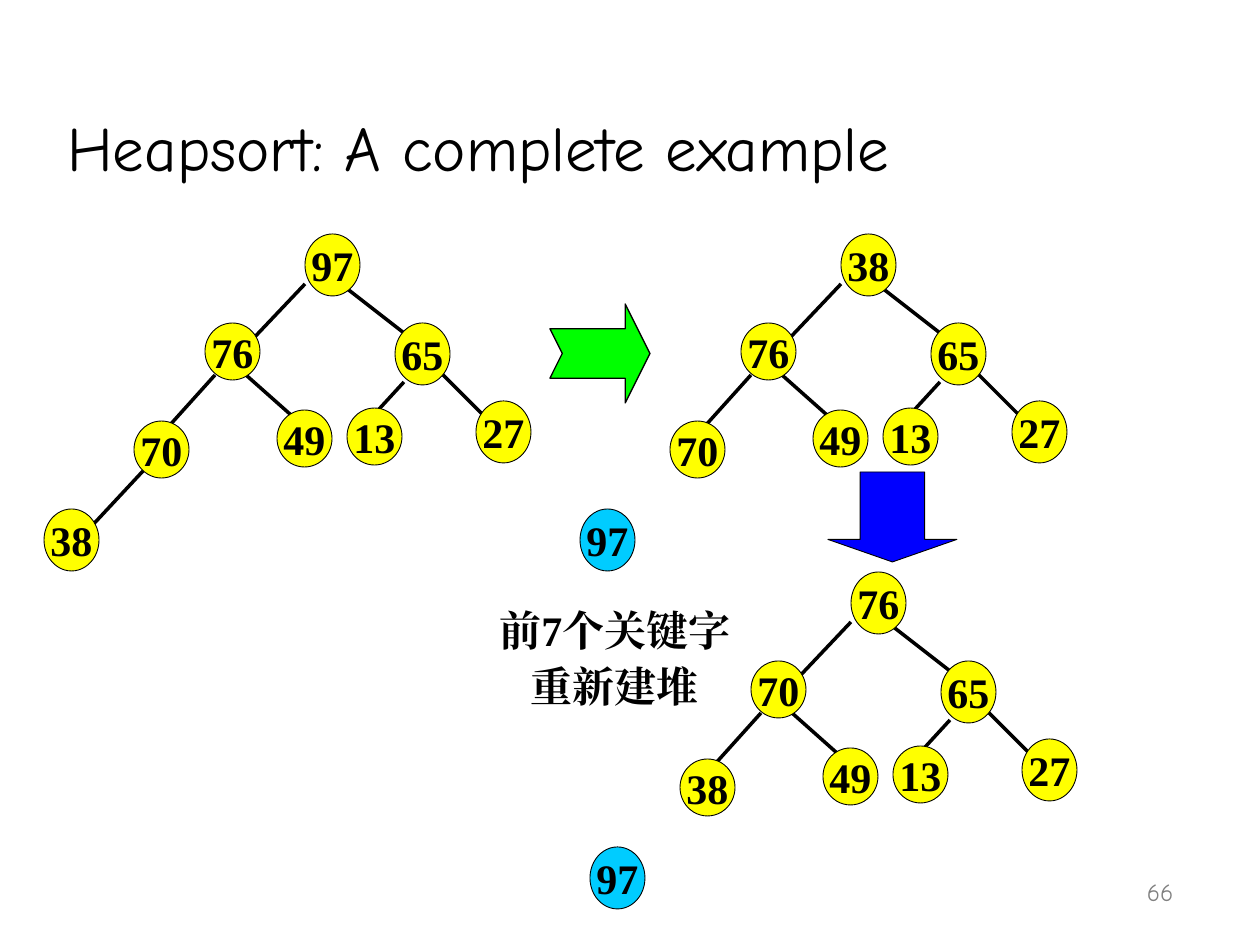
from lxml import etree
from pptx import Presentation
from pptx.dml.color import RGBColor
from pptx.enum.shapes import MSO_CONNECTOR as CONN, MSO_SHAPE as SHAPE
from pptx.enum.text import MSO_ANCHOR as ANCHOR, PP_ALIGN as ALIGN
from pptx.oxml.ns import qn
from pptx.util import Pt

PX = 914400 // 126
BLACK = RGBColor(0, 0, 0)
GRAY = RGBColor(0x80, 0x80, 0x80)
YELLOW = RGBColor(0xFF, 0xFF, 0)
CYAN = RGBColor(0, 0xCC, 0xFF)
GREEN = RGBColor(0, 0xFF, 0)
BLUE = RGBColor(0, 0, 0xFF)

prs = Presentation()
prs.slide_width, prs.slide_height = 1260 * PX, 945 * PX
s = prs.slides.add_slide(prs.slide_layouts[6])


def write(sp, text, size=24, font="Times New Roman", color=BLACK, bold=True,
          align=ALIGN.CENTER, anchor=ANCHOR.MIDDLE, wrap=False):
    tf = sp.text_frame
    tf.word_wrap = wrap
    tf.vertical_anchor = anchor
    for i, line in enumerate(text.split("\n")):
        p = tf.add_paragraph() if i else tf.paragraphs[0]
        p.alignment = align
        if i:
            p.space_before = Pt(3)
        r = p.add_run()
        r.text = line
        r.font.size, r.font.name, r.font.bold = Pt(size), font, bold
        r.font.color.rgb = color
        # East Asian text uses the same font name
        etree.SubElement(r.font._element, qn("a:ea"), typeface=font)


def shape(kind, x, y, w, h, fill, line=0.5):
    sp = s.shapes.add_shape(kind, x * PX, y * PX, w * PX, h * PX)
    sp.shadow.inherit = False
    sp.fill.solid()
    sp.fill.fore_color.rgb = fill
    sp.line.color.rgb = BLACK
    sp.line.width = Pt(line)
    return sp


# Title and page number
tb = s.shapes.add_textbox(55, 32, 1142, 158)
tb.left, tb.top, tb.width, tb.height = 55 * PX, 32 * PX, 1142 * PX, 158 * PX
write(tb, "Heapsort: A complete example", size=36, font="Comic Neue",
      bold=False, align=ALIGN.LEFT, anchor=ANCHOR.BOTTOM, wrap=True)
tb = s.shapes.add_textbox(924 * PX, 850 * PX, 262 * PX, 63 * PX)
write(tb, "66", size=14, font="Comic Neue", color=GRAY, bold=False,
      align=ALIGN.RIGHT, anchor=ANCHOR.BOTTOM, wrap=True)

# Heap layout in level order: node left, top, height; edge to each child
NODE_W = 55
NODES = [(305, 234, 62), (205, 323, 57), (395, 323, 62), (134, 421, 57),
         (277, 410, 57), (347, 408, 57), (476, 401, 62), (44, 509, 62)]
EDGES = [(305, 284, 251, 341), (404, 333, 341, 284), (215, 375, 170, 425),
         (246, 375, 291, 415), (404, 382, 359, 431), (440, 372, 494, 426),
         (144, 470, 89, 529)]

# Each heap: offset, keys in level order, number of keys still in the heap
HEAPS = [(0, 0, [97, 76, 65, 70, 49, 13, 27, 38], 8),
         (536, 0, [38, 76, 65, 70, 49, 13, 27, 97], 7),
         (546, 338, [76, 70, 65, 38, 49, 13, 27, 97], 7)]

for dx, dy, keys, size in HEAPS:
    for x1, y1, x2, y2 in EDGES[:size - 1]:
        edge = s.shapes.add_connector(CONN.STRAIGHT, (x1 + dx) * PX, (y1 + dy) * PX,
                                      (x2 + dx) * PX, (y2 + dy) * PX)
        edge.line.color.rgb = BLACK
        edge.line.width = Pt(2)
        etree.SubElement(edge._element.spPr, qn("a:effectLst"))
    for i, (key, (x, y, h)) in enumerate(zip(keys, NODES)):
        fill = YELLOW if i < size else CYAN
        write(shape(SHAPE.OVAL, x + dx, y + dy, NODE_W, h, fill), str(key))

# Step arrows
arrow = shape(SHAPE.NOTCHED_RIGHT_ARROW, 550, 304, 100, 99, GREEN, line=0.75)
arrow.adjustments[0], arrow.adjustments[1] = 0.5, 0.25
arrow = shape(SHAPE.DOWN_ARROW, 828, 472, 129, 90, BLUE)
arrow.adjustments[0], arrow.adjustments[1] = 0.5, 0.25

# Caption
tb = s.shapes.add_textbox(451 * PX, 624 * PX, 328 * PX, 67 * PX)
write(tb, "前7个关键字\n重新建堆")

prs.save("out.pptx")
